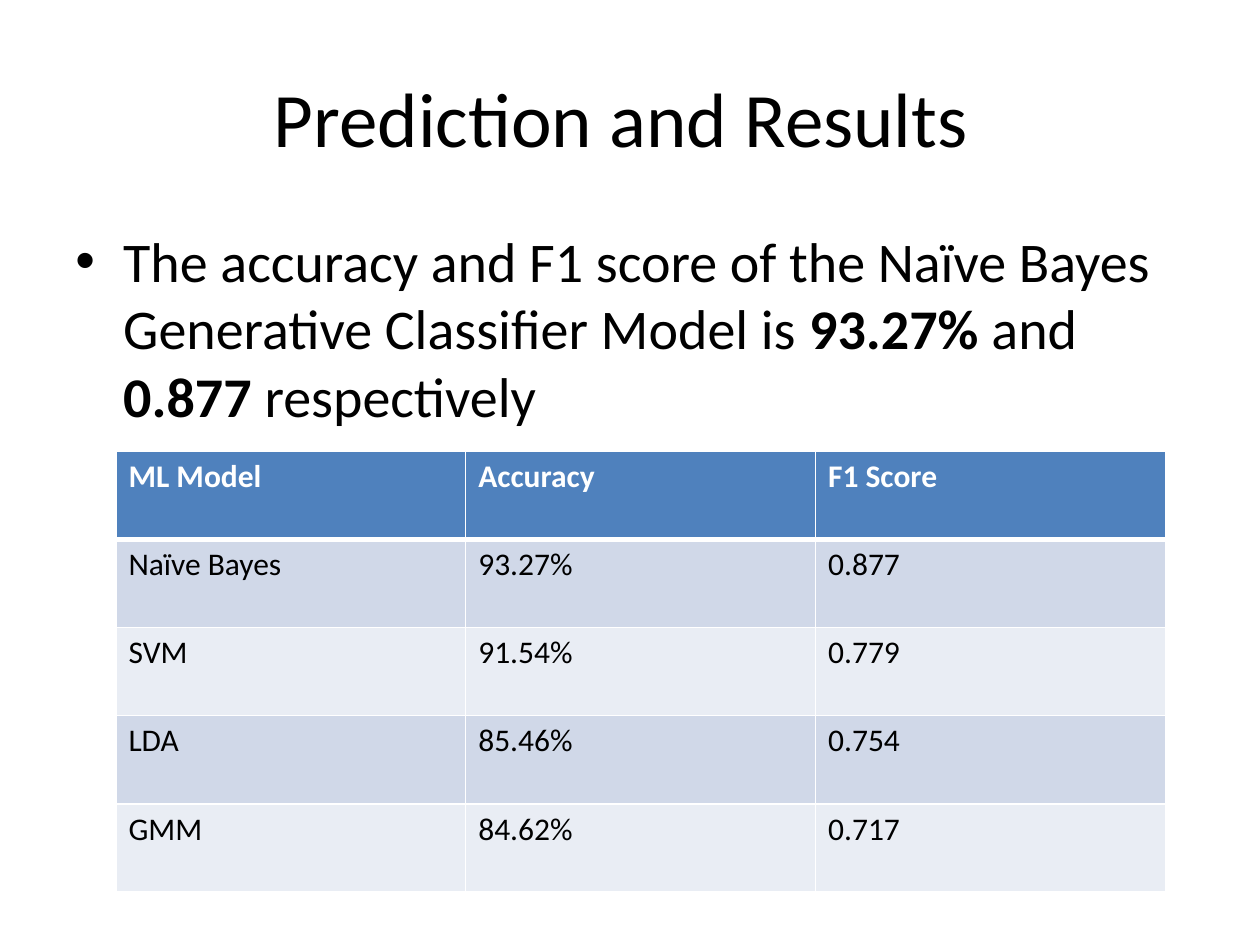
from lxml import etree
from pptx import Presentation, util as u
from pptx.dml.color import RGBColor
from pptx.enum import text
from pptx.oxml import ns

BLACK = RGBColor(0x00, 0x00, 0x00)
WHITE = RGBColor(0xFF, 0xFF, 0xFF)
HEADER_BLUE = RGBColor(0x4F, 0x81, 0xBD)
BANDS = (RGBColor(0xE9, 0xED, 0xF4), RGBColor(0xD0, 0xD8, 0xE8))
FONT = "Calibri"

RESULTS = (
    ("ML Model", "Accuracy", "F1 Score"),
    ("Naïve Bayes", "93.27%", "0.877"),
    ("SVM", "91.54%", "0.779"),
    ("LDA", "85.46%", "0.754"),
    ("GMM", "84.62%", "0.717"),
)
SUMMARY = (
    ("The accuracy and F1 score of the Naïve Bayes Generative Classifier Model is ", False),
    ("93.27% ", True),
    ("and ", False),
    ("0.877", True),
    (" respectively", False),
)


def add_span(para, words, size=18, color=BLACK, bold=False):
    """Append a formatted run to a paragraph."""
    span = para.add_run()
    span.text = words
    span.font.name = FONT
    span.font.size = u.Pt(size)
    span.font.color.rgb = color
    span.font.bold = bold


def place(shape, box):
    """Move a shape to a box given in inches."""
    shape.left, shape.top, shape.width, shape.height = map(u.Inches, box)


def set_title(page, box):
    """Fill and place the title placeholder."""
    title = page.shapes.title
    place(title, box)
    title.text_frame.vertical_anchor = text.MSO_ANCHOR.MIDDLE
    para = title.text_frame.paragraphs[0]
    para.alignment = text.PP_ALIGN.CENTER
    add_span(para, "Prediction and Results ", size=44)


def add_summary(page, box):
    """Add the bulleted summary sentence."""
    frame = page.shapes.add_textbox(*map(u.Inches, box)).text_frame
    frame.word_wrap = True
    para = frame.paragraphs[0]
    para.space_before = u.Pt(6.4)
    props = para._p.get_or_add_pPr()
    indent = u.Inches(0.38)
    props.set("marL", str(indent))
    props.set("indent", str(-indent))
    etree.SubElement(props, ns.qn("a:buFont"), typeface="Arial")
    etree.SubElement(props, ns.qn("a:buChar"), char="•")
    for words, bold in SUMMARY:
        add_span(para, words, size=32, bold=bold)


def add_borders(cell, widths):
    """Draw white cell borders from a mapping of edge to points."""
    props = cell._tc.get_or_add_tcPr()
    for edge, width in widths.items():
        line = etree.SubElement(props, ns.qn(f"a:ln{edge}"), w=str(u.Pt(width)))
        fill = etree.SubElement(line, ns.qn("a:solidFill"))
        etree.SubElement(fill, ns.qn("a:srgbClr"), val=str(WHITE))


def add_results(page, box):
    """Add the banded table of model scores."""
    count, columns = len(RESULTS), len(RESULTS[0])
    table = page.shapes.add_table(count, columns, *map(u.Inches, box)).table
    for row, values in enumerate(RESULTS):
        header = row == 0
        for column, value in enumerate(values):
            cell = table.cell(row, column)
            add_borders(cell, {"L": 1, "R": 1, "T": 3 if row == 1 else 1, "B": 3 if header else 1})
            cell.fill.solid()
            cell.fill.fore_color.rgb = HEADER_BLUE if header else BANDS[row % 2]
            add_span(cell.text_frame.paragraphs[0], value,
                     color=WHITE if header else BLACK, bold=header)


def build_results_page(deck):
    """Add the slide with title, summary and score table."""
    page = deck.slides.add_slide(deck.slide_layouts[5])
    set_title(page, (0.5, 0.3, 9, 1.25))
    add_summary(page, (0.5, 1.75, 9, 4.95))
    add_results(page, (0.92, 3.58, 8.33, 3.5))


deck = Presentation()
deck.slide_width, deck.slide_height = u.Inches(10), u.Inches(7.5)
build_results_page(deck)
deck.save("out.pptx")
